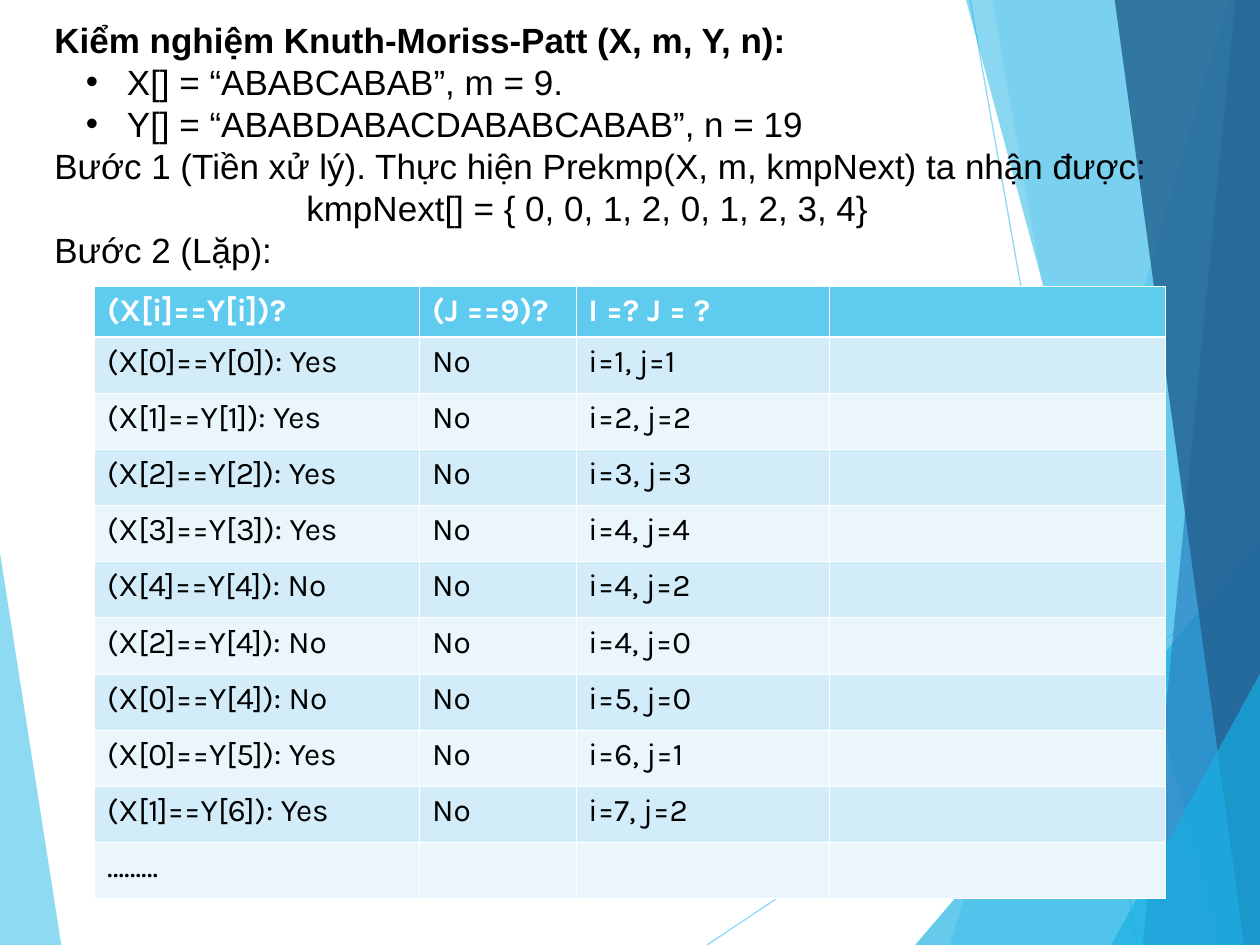
"""Build the slide that traces the Knuth-Morris-Pratt search step by step."""
from lxml.etree import SubElement
from pptx import Presentation
from pptx.dml.color import RGBColor
from pptx.enum.shapes import MSO_CONNECTOR
from pptx.enum.text import MSO_ANCHOR, MSO_AUTO_SIZE, PP_ALIGN
from pptx.oxml.ns import qn
from pptx.util import Pt

WIDE, HIGH = 720, 540
BLACK = RGBColor(0x00, 0x00, 0x00)
WHITE = RGBColor(0xFF, 0xFF, 0xFF)
SKY = RGBColor(0x5F, 0xCB, 0xEF)
CYAN = RGBColor(0x17, 0xB0, 0xE4)
BLUE = RGBColor(0x2E, 0x83, 0xC3)
NAVY = RGBColor(0x23, 0x62, 0x92)
BANDS = RGBColor(0xD2, 0xEC, 0xF9), RGBColor(0xEA, 0xF6, 0xFC)

HEAD = "Kiểm nghiệm Knuth-Moriss-Patt (X, m, Y, n):"
LINES = [
    ("X[] = “ABABCABAB”, m = 9.", 41.5, True),
    ("Y[] = “ABABDABACDABABCABAB”, n = 19", 41.5, True),
    ("Bước 1 (Tiền xử lý). Thực hiện Prekmp(X, m, kmpNext) ta nhận được:", 0, False),
    ("kmpNext[] = { 0, 0, 1, 2, 0, 1, 2, 3, 4}", 144, False),
    ("Bước 2 (Lặp):", 0, False),
]
STEPS = [
    (0, 0, "Yes", 1, 1), (1, 1, "Yes", 2, 2), (2, 2, "Yes", 3, 3),
    (3, 3, "Yes", 4, 4), (4, 4, "No", 4, 2), (2, 4, "No", 4, 0),
    (0, 4, "No", 5, 0), (0, 5, "Yes", 6, 1), (1, 6, "Yes", 7, 2),
]
ROWS = [
    ("(X[i]==Y[i])?", "(J ==9)?", "I =? J = ?", ""),
    *((f"(X[{x}]==Y[{y}]): {same}", "No", f"i={i}, j={j}", "")
      for x, y, same, i, j in STEPS),
    ("………", "", "", ""),
]


class Deck:
    """Hold the style and the current slide."""

    font, grid_font = "Arial", "Karla"
    size, grid_size, pitch = 20, 18, 24

    def __init__(self):
        self.file = Presentation()
        self.file.slide_width, self.file.slide_height = Pt(WIDE), Pt(HIGH)
        self.slide = self.file.slides.add_slide(self.file.slide_layouts[1])
        self.shapes = self.slide.shapes

    def fade(self, fill, color, alpha):
        """Make a fill solid in a color at an opacity in percent."""
        fill.solid()
        fill.fore_color.rgb = color

        return alpha

    def clear(self, shape, alpha):
        """Set the opacity of the first color of a shape."""
        tint = next(shape.element.spPr.iter(qn("a:srgbClr")))
        SubElement(tint, qn("a:alpha"), val=str(alpha * 1000))

    def facet(self, points, color, alpha):
        """Draw a translucent polygon."""
        pen = self.shapes.build_freeform(*points[0], scale=Pt(1))
        pen.add_line_segments(points[1:], close=True)
        shape = pen.convert_to_shape()
        shape.shadow.inherit = False
        shape.fill.solid()
        shape.fill.fore_color.rgb = color
        shape.line.fill.background()
        self.clear(shape, alpha)

    def line(self, start, end):
        """Draw a thin translucent line."""
        ends = map(Pt, (*start, *end))
        wire = self.shapes.add_connector(MSO_CONNECTOR.STRAIGHT, *ends)
        wire.line.color.rgb = SKY
        wire.line.width = Pt(0.75)
        self.clear(wire, 70)
        SubElement(wire.element.spPr, qn("a:effectLst"))

    def text(self, holder, box, lines, bold=False):
        """Fill a placeholder with lines and bring it to the front."""
        self.shapes.element.append(holder.element)
        holder.left, holder.top, holder.width, holder.height = map(Pt, box)
        frame = holder.text_frame
        frame.text = "\n".join(words for words, _, _ in lines)
        frame.word_wrap = True
        frame.auto_size = MSO_AUTO_SIZE.NONE
        frame.vertical_anchor = MSO_ANCHOR.TOP
        frame.margin_top = frame.margin_bottom = 0
        for para, (_, left, dot) in zip(frame.paragraphs, lines):
            para.alignment = PP_ALIGN.LEFT
            para.line_spacing = Pt(self.pitch)
            para.space_before = Pt(0)
            self.style(para.font, self.font, self.size, BLACK, bold)
            props = para._p.get_or_add_pPr()
            props.set("marL", str(Pt(left)))
            props.set("indent", str(Pt(-23.5 if dot else 0)))
            if dot:
                SubElement(props, qn("a:buFont"), typeface=self.font)
                SubElement(props, qn("a:buChar"), char="•")
            else:
                SubElement(props, qn("a:buNone"))
            props.append(props.find(qn("a:defRPr")))

    def style(self, font, name, size, color, bold):
        """Set the look of a font."""
        font.name, font.size, font.bold = name, Pt(size), bold
        font.color.rgb = color

    def border(self, cell, row):
        """Rule a cell in white, heavier below the header."""
        props = cell._tc.get_or_add_tcPr()
        heavy = {("lnB", 0), ("lnT", 1)}
        for side in ("lnL", "lnR", "lnT", "lnB"):
            width = Pt(1.47 if (side, row) in heavy else 0.45)
            edge = SubElement(props, qn(f"a:{side}"), w=str(width))
            fill = SubElement(edge, qn("a:solidFill"))
            SubElement(fill, qn("a:srgbClr"), val=str(WHITE))

    def table(self, box, widths, heights, rows):
        """Add a banded table with a header row."""
        frame = self.shapes.add_table(len(rows), len(widths), *map(Pt, box))
        grid = frame.table
        for col, width in zip(grid.columns, widths):
            col.width = Pt(width)
        for r, (line, height, words) in enumerate(zip(grid.rows, heights, rows)):
            line.height = Pt(height)
            for cell, word in zip(line.cells, words):
                self.border(cell, r)
                cell.fill.solid()
                cell.fill.fore_color.rgb = BANDS[(r - 1) % 2] if r else SKY
                cell.text = word
                self.style(cell.text_frame.paragraphs[0].font, self.grid_font,
                           self.grid_size, BLACK if r else WHITE, r == 0)


def side(top, foot):
    """Return a facet that reaches the right edge at full height."""
    return [(top, 0), (foot, HIGH), (WIDE, HIGH), (WIDE, 0)]


def wedge(foot, top):
    """Return a facet in the lower right corner."""
    return [(foot, HIGH), (WIDE, top), (WIDE, HIGH)]


def main():
    """Build and save the slide."""
    deck = Deck()
    title, body = deck.shapes.title, deck.slide.placeholders[1]
    deck.facet([(0, 316), (35.3, HIGH), (0, HIGH)], SKY, 70)
    deck.line((404, HIGH), (WIDE, 329))
    deck.line((554.4, 0), (650, HIGH))
    for points, color, alpha in [
        (side(702, 543), SKY, 36),
        (side(567.4, 661.7), SKY, 20),
        (wedge(522.7, 309), CYAN, 66),
        (side(552.2, 698.4), CYAN, 50),
        (side(706.3, 653), BLUE, 70),
        (side(637.2, 711.4), NAVY, 82),
        (wedge(635, 385.2), CYAN, 66),
    ]:
        deck.facet(points, color, alpha)
    top, left, width = 10.5, 23.8, 684
    deck.text(title, (left, top, width, deck.pitch), [(HEAD, 0, False)], True)
    deck.text(body, (left, top + deck.pitch, width, deck.pitch * len(LINES)), LINES)
    heights = [28.8] + [32.1] * (len(ROWS) - 1)
    deck.table((54, 163.8, 612, sum(heights)), (185.8, 89.3, 144.7, 192.2),
               heights, ROWS)
    deck.file.save("out.pptx")


if __name__ == "__main__":
    main()
